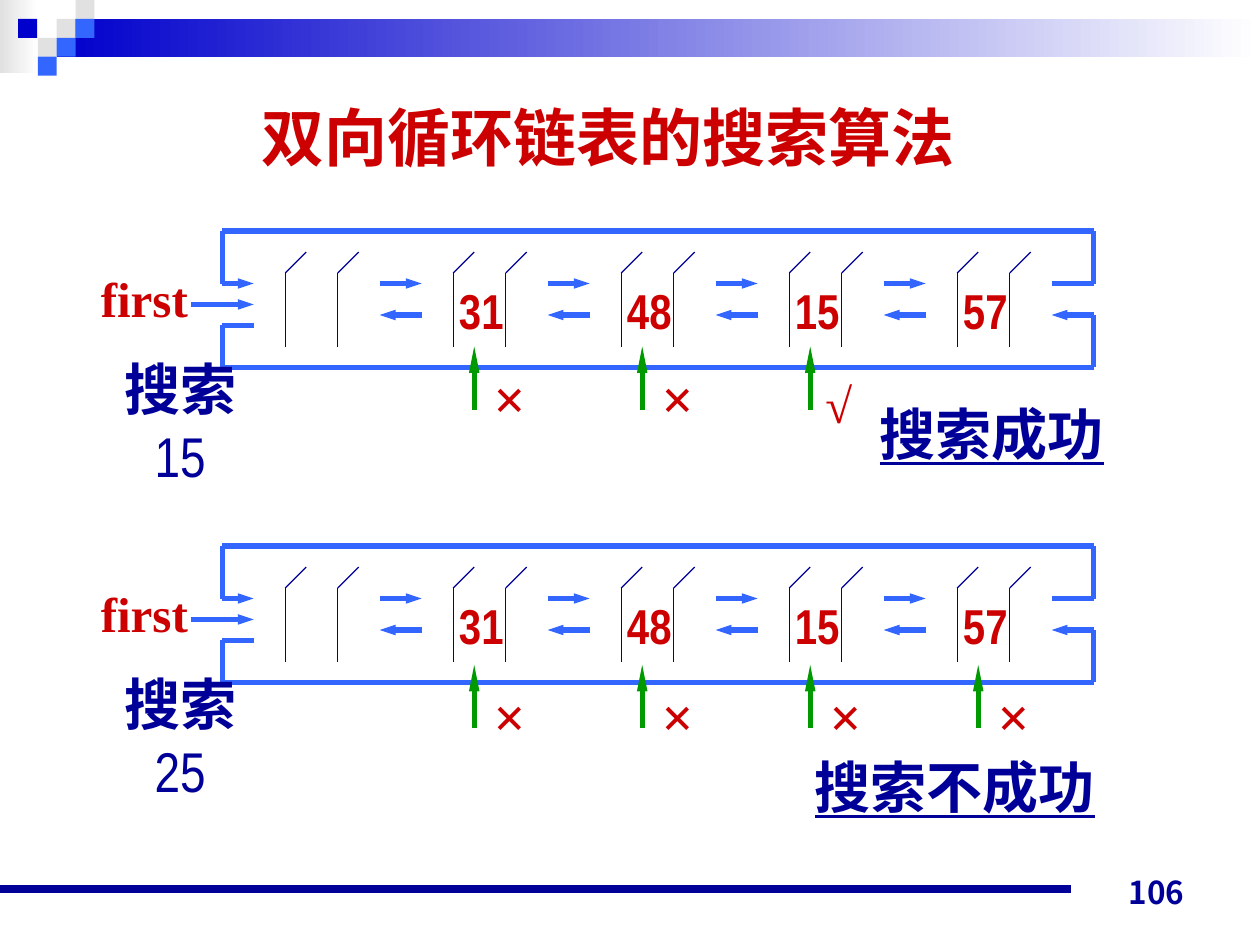
"""Build the slide on searching a doubly linked circular list."""
import pptx
import pptx.util
import pptx.dml.color
import pptx.oxml
import pptx.oxml.ns
from pptx.enum.dml import MSO_FILL
from pptx.enum.shapes import MSO_CONNECTOR, MSO_SHAPE
from pptx.enum.text import MSO_ANCHOR, MSO_AUTO_SIZE, PP_ALIGN

Pt = pptx.util.Pt
NAVY, BLUE, RED, GREEN = "000099", "3366FF", "CC0000", "009900"
GREY, DEEP = "E1E1E1", "0000CC"
SERIF, NARROW, SANS = "Times New Roman", "Arial Narrow", "Noto Sans CJK JP"

TITLE = "双向循环链表的搜索算法"
VALUES = ["", "31", "48", "15", "57"]
SEARCHES = [
    {"key": "15", "marks": "××√", "top": 132, "mark_top": 198,
     "result": "搜索成功", "result_box": (494, 224, 146, 47.5)},
    {"key": "25", "marks": "××××", "top": 312, "mark_top": 380,
     "result": "搜索不成功", "result_box": (457, 425.5, 178.5, 47.5)},
]
MARK_STYLE = {"×": (4, 6, 32, 32), "√": (1.5, 13, 29.5, 28)}
GRADIENTS = [((0, 0, 22, 42), GREY), ((32.4, 10.8, 687.6, 21.6), DEEP)]
TILES = [(32.4, 10.8, GREY), (43.2, 0, GREY), (43.2, 10.8, BLUE), (21.6, 21.6, GREY),
         (10.4, 10.8, DEEP), (32.4, 21.6, BLUE), (21.6, 32.4, BLUE)]

LEFT, RIGHT, CELL_X, PITCH, CELL_W = 127, 625, 163, 96, 30
FRAME = [
    (LEFT, 0, RIGHT, 0), (LEFT, 78, RIGHT, 78),
    (LEFT, 0, LEFT, 30), (LEFT, 54, LEFT, 78), (LEFT, 54, 145, 54),
    (RIGHT, 0, RIGHT, 30), (RIGHT, 48, RIGHT, 78), (601, 30, RIGHT, 30),
]
FRAME_ARROWS = [(LEFT, 30, 145, 30), (109, 42, 145, 42), (RIGHT, 48, 601, 48)]

prs = pptx.Presentation()
prs.slide_width, prs.slide_height = Pt(720), Pt(540)
s = prs.slides.add_slide(prs.slide_layouts[6])


def rgb(value):
    return pptx.dml.color.RGBColor.from_string(value)


def rect(x, y, w, h, color, fade=False):
    sp = s.shapes.add_shape(MSO_SHAPE.RECTANGLE, Pt(x), Pt(y), Pt(w), Pt(h))
    sp.shadow.inherit = False
    sp.line.fill.background()
    if fade:
        sp.fill.gradient()
        sp.fill.gradient_angle = 0
        for stop, shade in zip(sp.fill.gradient_stops, (color, "FFFFFF")):
            stop.color.rgb = rgb(shade)
    else:
        sp.fill.solid()
        sp.fill.fore_color.rgb = rgb(color)


def line(x1, y1, x2, y2, color=BLUE, width=3, head=None):
    c = s.shapes.add_connector(MSO_CONNECTOR.STRAIGHT, Pt(x1), Pt(y1), Pt(x2), Pt(y2))
    c.line.color.rgb = rgb(color)
    c.line.width = Pt(width)
    qn = pptx.oxml.ns.qn
    if head:
        end = c.line._get_or_add_ln().makeelement(
            qn("a:tailEnd"), {"type": "triangle", "w": "sm", "len": head})
        c.line._get_or_add_ln().append(end)
    sp_pr = c._element.spPr
    sp_pr.append(sp_pr.makeelement(qn("a:effectLst"), {}))


def text(box, words, size, font, color, bold=True, align=PP_ALIGN.CENTER,
         anchor=MSO_ANCHOR.MIDDLE, wrap=False, grow=True, inset=(7.2, 3.6)):
    tf = s.shapes.add_textbox(*map(Pt, box)).text_frame
    tf.word_wrap = wrap
    tf.vertical_anchor = anchor
    tf.auto_size = MSO_AUTO_SIZE.SHAPE_TO_FIT_TEXT if grow else MSO_AUTO_SIZE.NONE
    tf.margin_left = tf.margin_right = Pt(inset[0])
    tf.margin_top = tf.margin_bottom = Pt(inset[1])
    p = tf.paragraphs[0]
    p.alignment = align
    p.font.size, p.font.name, p.font.bold = Pt(size), font, bold
    p.font.color.rgb = rgb(color)
    p.add_run().text = words
    return p


def cell(x, top):
    for side in (x, x + CELL_W):
        line(side, top + 24, side, top + 66, NAVY, 0.75)
        line(side, top + 24, side + 12, top + 12, NAVY, 0.75)


def search(key, marks, top, mark_top, result, result_box):
    text(result_box, result, 32, SERIF, NAVY, align=PP_ALIGN.LEFT,
         anchor=MSO_ANCHOR.TOP, inset=(8.64, 4.32)).font.underline = True
    for x1, y1, x2, y2 in FRAME:
        line(x1, top + y1, x2, top + y2)
    for x1, y1, x2, y2 in FRAME_ARROWS:
        line(x1, top + y1, x2, top + y2, head="med")
    for i, value in enumerate(VALUES):
        x = CELL_X + i * PITCH
        cell(x, top)
        if i < len(VALUES) - 1:
            line(x + 54, top + 30, x + 78, top + 30, head="med")
            line(x + 78, top + 48, x + 54, top + 48, head="med")
        if value:
            text((x - 4, top + 24.5, 40, 41), value, 28, NARROW, RED)
    text((50.5, top + 18, 64, 41), "first", 28, SERIF, RED)
    p = text((49, top + 86, 108, 45.5), "搜索", 32, NARROW, NAVY)
    p.add_line_break()
    r = p.add_run()
    r.text, r.font.bold = key, False
    for i, mark in enumerate(marks, 1):
        x = CELL_X + i * PITCH + 12
        line(x, mark_top + 36, x, mark_top, GREEN, head="lg")
        dx, dy, width, size = MARK_STYLE[mark]
        text((x + dx, mark_top + dy, width, size * 1.42), mark, size, SERIF, RED)


for box, color in GRADIENTS:
    rect(*box, color, fade=True)
for x, y, color in TILES:
    rect(x, y, 10.8, 10.8, color)
line(0, 508, 612, 508, NAVY, 4.5)
text((516, 488, 168, 36), "106", 18, SANS, NAVY, align=PP_ALIGN.RIGHT,
     anchor=MSO_ANCHOR.BOTTOM, wrap=True, grow=False)
text((112.5, 52, 469.5, 52.5), TITLE, 36, SERIF, RED, anchor=MSO_ANCHOR.TOP,
     wrap=True, inset=(8.64, 4.32))
for item in SEARCHES:
    search(**item)

prs.save("out.pptx")
